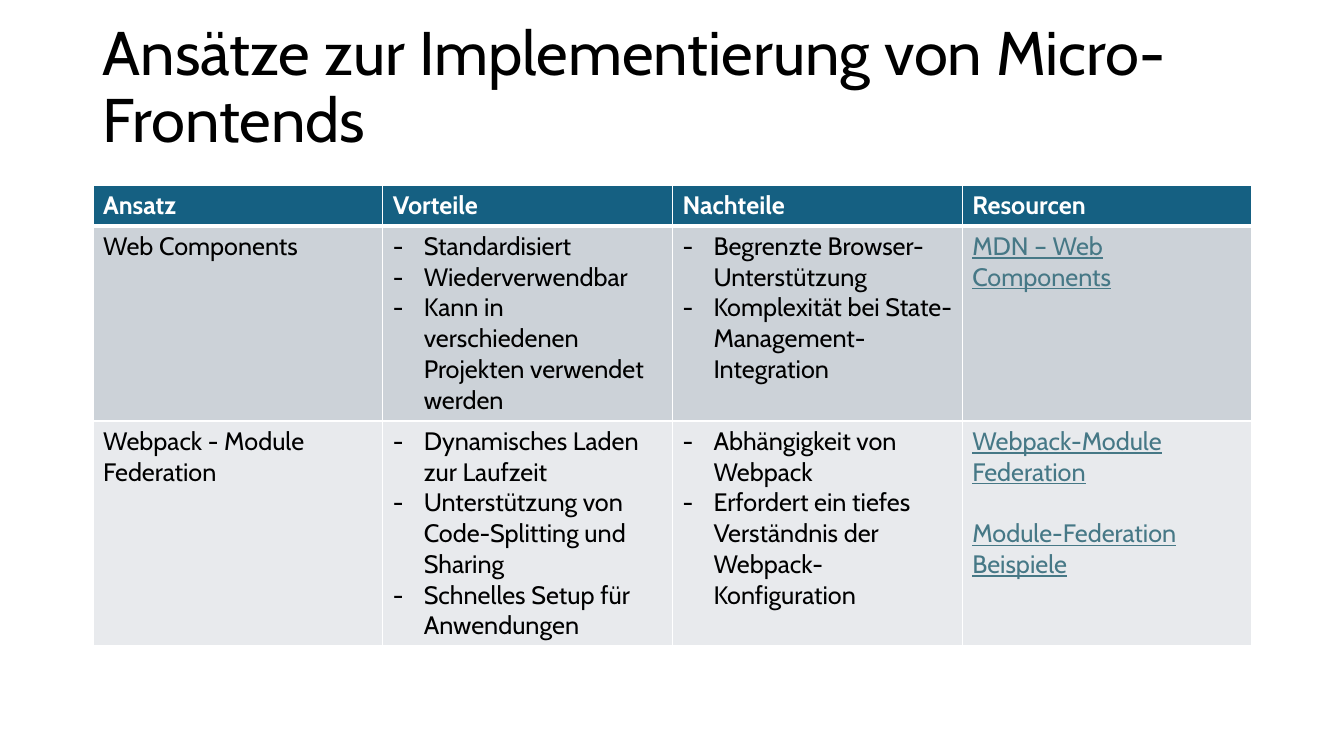
from dataclasses import dataclass

from lxml.etree import SubElement
from pptx import Presentation
from pptx.dml.color import RGBColor
from pptx.enum.text import MSO_ANCHOR
from pptx.oxml.ns import qn
from pptx.util import Pt

SCALE = 914400 / 100.8  # EMU per px
FONT = "Cabin"
BLACK = RGBColor(0x00, 0x00, 0x00)
WHITE = RGBColor(0xFF, 0xFF, 0xFF)
TEAL = RGBColor(0x15, 0x60, 0x82)
GREY = RGBColor(0xCC, 0xD2, 0xD8)
PALE = RGBColor(0xE8, 0xEA, 0xED)
LINK = RGBColor(0x46, 0x78, 0x86)


@dataclass(frozen=True)
class Style:
    color: RGBColor = BLACK
    size: int = 18
    bold: bool = False
    line: bool = False
    dash: bool = False
    gap: int = 0


@dataclass(frozen=True)
class Row:
    height: int
    fill: RGBColor
    base: int
    styles: tuple[Style, ...]
    cells: tuple[str, ...]


HEAD = Style(color=WHITE, bold=True)
BODY = (Style(), Style(dash=True), Style(dash=True),
        Style(color=LINK, line=True, gap=22))

ROWS = (
    Row(41, TEAL, 3, (HEAD,) * 4,
        ("Ansatz", "Vorteile", "Nachteile", "Resourcen")),
    Row(195, GREY, 1, BODY, (
        "Web Components",
        "Standardisiert\nWiederverwendbar\n"
        "Kann in verschiedenen Projekten verwendet werden",
        "Begrenzte Browser-Unterstützung\n"
        "Komplexität bei State-Management-Integration",
        "MDN – Web Components")),
    Row(225, PALE, 1, BODY, (
        "Webpack - Module Federation",
        "Dynamisches Laden zur Laufzeit\n"
        "Unterstützung von Code-Splitting und Sharing\n"
        "Schnelles Setup für Anwendungen",
        "Abhängigkeit von Webpack\n"
        "Erfordert ein tiefes Verständnis der Webpack-Konfiguration",
        "Webpack-Module Federation\nModule-Federation Beispiele")),
)


def px(length: int) -> int:
    return round(length * SCALE)


def write(frame, text: str, style: Style) -> None:
    frame.text = text
    for index, para in enumerate(frame.paragraphs):
        if index and style.gap:
            para.space_before = Pt(style.gap)
        if style.dash:
            props = para._p.get_or_add_pPr()
            props.set("marL", str(px(31)))
            props.set("indent", str(-px(31)))
            SubElement(props, qn("a:buFont"), typeface=FONT)
            SubElement(props, qn("a:buChar"), char="-")
        for run in para.runs:
            font = run.font
            font.name = FONT
            font.size = Pt(style.size)
            font.bold = style.bold
            font.underline = style.line
            font.color.rgb = style.color


def frame_cell(cell, base: int) -> None:
    """Draw white cell borders; base is the width of the lower one in points."""
    props = cell._tc.get_or_add_tcPr()
    for side, width in (("L", 1), ("R", 1), ("T", 1), ("B", base)):
        line = SubElement(props, qn(f"a:ln{side}"), w=str(Pt(width)))
        fill = SubElement(line, qn("a:solidFill"))
        SubElement(fill, qn("a:srgbClr"), val=str(WHITE))


def add_title(slide, text: str) -> None:
    box = slide.shapes.add_textbox(px(93), px(16), px(1159), px(146))
    frame = box.text_frame
    frame.word_wrap = True
    frame.vertical_anchor = MSO_ANCHOR.MIDDLE
    write(frame, text, Style(size=44))
    frame.paragraphs[0].line_spacing = 0.9


def add_grid(slide, rows: tuple[Row, ...]) -> None:
    count = len(rows[0].cells)
    height = sum(row.height for row in rows)
    shape = slide.shapes.add_table(
        len(rows), count, px(93), px(185), px(1159), px(height))
    table = shape.table
    table.horz_banding = False
    for y, row in enumerate(rows):
        table.rows[y].height = px(row.height)
        # The upper line of a row matches the lower line of the row above.
        for x, (text, style) in enumerate(zip(row.cells, row.styles)):
            cell = table.cell(y, x)
            write(cell.text_frame, text, style)
            frame_cell(cell, row.base)
            cell.fill.solid()
            cell.fill.fore_color.rgb = row.fill


def main() -> None:
    deck = Presentation()
    deck.slide_width, deck.slide_height = px(1344), px(756)
    slide = deck.slides.add_slide(deck.slide_layouts[6])
    add_title(slide, "Ansätze zur Implementierung von Micro-Frontends")
    add_grid(slide, ROWS)
    deck.save("out.pptx")


if __name__ == "__main__":
    main()
